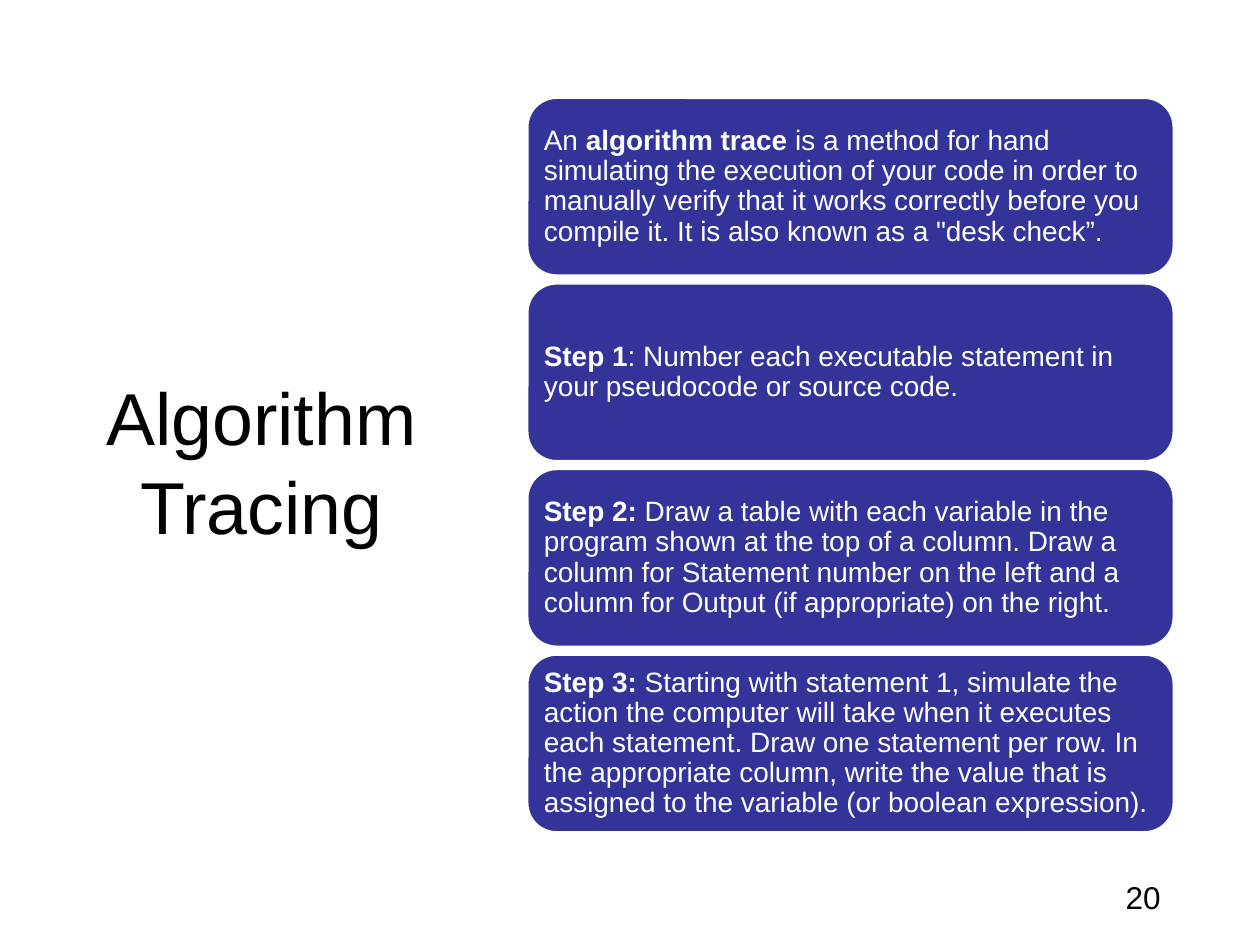
from dataclasses import dataclass
from pptx import Presentation
from pptx.dml.color import RGBColor
from pptx.enum.shapes import MSO_SHAPE
from pptx.enum.text import MSO_ANCHOR, PP_ALIGN
from pptx.util import Pt


@dataclass
class Theme:
    font: str = "Arial"
    ink: RGBColor = RGBColor(0, 0, 0)
    paper: RGBColor = RGBColor(255, 255, 255)
    card: RGBColor = RGBColor(0x33, 0x33, 0x99)
    title: int = 42
    page: int = 18
    body: int = 16


theme = Theme()


def style(para, size, color, align):
    para.alignment = align
    para.font.name = theme.font
    para.font.size = Pt(size)
    para.font.color.rgb = color


deck = Presentation()
deck.slide_width, deck.slide_height = Pt(720), Pt(540)
slide = deck.slides.add_slide(deck.slide_layouts[6])
shapes = slide.shapes

title = shapes.add_textbox(Pt(49.7), Pt(43.9), Pt(199.4), Pt(438.5)).text_frame
title.word_wrap = True
title.vertical_anchor = MSO_ANCHOR.MIDDLE
title.text = "Algorithm Tracing"
style(title.paragraphs[0], theme.title, theme.ink, PP_ALIGN.CENTER)

page = shapes.add_textbox(Pt(508.3), Pt(500.4), Pt(162), Pt(28.8)).text_frame
page.word_wrap = True
page.text = "20"
style(page.paragraphs[0], theme.page, theme.ink, PP_ALIGN.RIGHT)
page.paragraphs[0].line_spacing = 0.9

cards = [
    [("An ", False), ("algorithm trace", True),
     (" is a method for hand simulating the execution of your code in order "
      "to manually verify that it works correctly before you compile it. "
      "It is also known as a \"desk check”.", False)],
    [("Step 1", True),
     (": Number each executable statement in your pseudocode or source code.",
      False)],
    [("Step 2:", True),
     (" Draw a table with each variable in the program shown at the top of a "
      "column. Draw a column for Statement number on the left and a column "
      "for Output (if appropriate) on the right.", False)],
    [("Step 3: ", True),
     ("Starting with statement 1, simulate the action the computer will take "
      "when it executes each statement. Draw one statement per row. In the "
      "appropriate column, write the value that is assigned to the variable "
      "(or boolean expression).", False)],
]
top, high, pitch, inset = 55.6, 102.2, 106.05, Pt(4.8)

for row, parts in enumerate(cards):
    card = shapes.add_shape(MSO_SHAPE.ROUNDED_RECTANGLE, Pt(301),
                            Pt(top + row * pitch), Pt(370), Pt(high))
    card.shadow.inherit = False
    card.fill.solid()
    card.fill.fore_color.rgb = theme.card
    card.line.color.rgb = theme.paper
    card.line.width = Pt(2)
    frame = card.text_frame
    frame.word_wrap = True
    frame.vertical_anchor = MSO_ANCHOR.MIDDLE
    frame.margin_left = frame.margin_right = inset
    frame.margin_top = frame.margin_bottom = inset
    para = frame.paragraphs[0]
    style(para, theme.body, theme.paper, PP_ALIGN.LEFT)
    para.line_spacing = 0.9
    for text, bold in parts:
        run = para.add_run()
        run.text = text
        run.font.bold = bold

deck.save("out.pptx")
